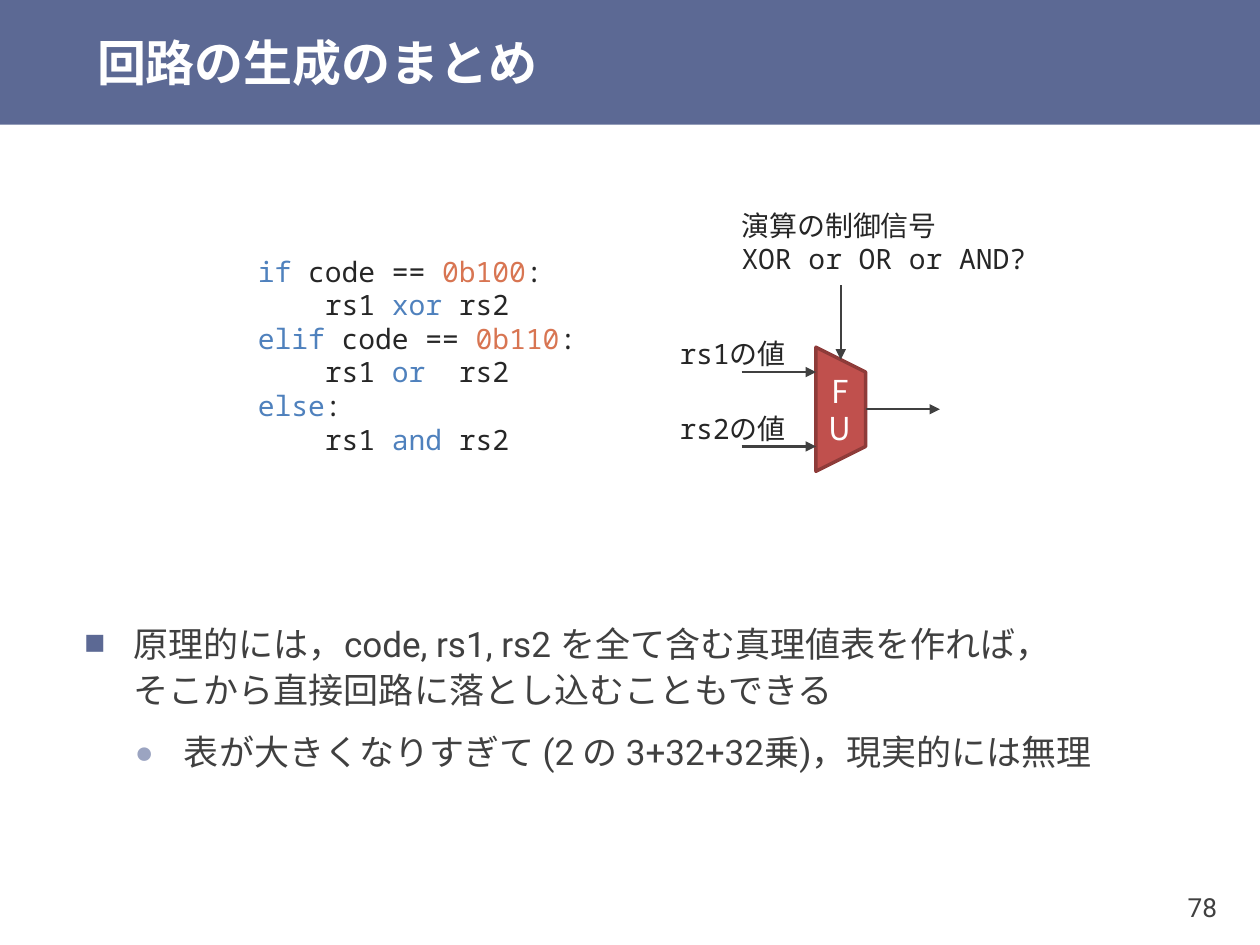
"""Builds the slide that sums up circuit generation: code, function unit and notes."""
from lxml import etree
from pptx import Presentation
from pptx import util as u
from pptx.dml.color import RGBColor
from pptx.enum import shapes, text
from pptx.oxml.ns import qn

WHITE, NAVY, GREY, INK = "FFFFFF", "5C6994", "404040", "262626"
BLUE, ORANGE, RED, MAROON, LILAC = "4F81BD", "D87552", "C0504D", "8E3B39", "9BA4C1"
SANS, MONO, CJK = "Roboto", "Noto Sans Mono", "Noto Sans CJK JP"
MIDDLE = text.MSO_ANCHOR.MIDDLE


def rgb(value):
    return RGBColor.from_string(value)


def write(p, runs, size, name, bold=False):
    for words, color in runs:
        r = p.add_run()
        r.text = words
        for key, value in dict(size=u.Pt(size), name=name, bold=bold).items():
            setattr(r.font, key, value)
        r.font.color.rgb = rgb(color)
        etree.SubElement(r._r.get_or_add_rPr(), qn("a:ea"), typeface=CJK)


prs = Presentation()
prs.slide_width, prs.slide_height = u.Inches(10), u.Inches(7.5)
W, H = prs.slide_width, prs.slide_height
s = prs.slides.add_slide(prs.slide_layouts[1])
GRID, SHIFT = u.Cm(0.25), u.Inches(-0.02)
band = int(H * 0.132)

sp = s.shapes.add_shape(shapes.MSO_SHAPE.RECTANGLE, 0, 0, W, band)
sp.shadow.inherit = False
sp.fill.solid()
sp.fill.fore_color.rgb = rgb(NAVY)
sp.line.fill.background()
s.shapes._spTree.insert(2, sp._element)

title, body = s.placeholders
for sp, box in ((title, (0.067, 0, 0.933, 0.132)), (body, (0.057, 0.67, 0.906, 0.131))):
    sp.left, sp.top, sp.width, sp.height = (int(v * d) for v, d in zip(box, (W, H, W, H)))
    tf = sp.text_frame
    for key, value in dict(vertical_anchor=MIDDLE, word_wrap=True,
                           auto_size=text.MSO_AUTO_SIZE.NONE).items():
        setattr(tf, key, value)

title.text_frame.margin_top = title.text_frame.margin_bottom = 0
p = title.text_frame.paragraphs[0]
p.alignment = text.PP_ALIGN.LEFT
write(p, [("回路の生成のまとめ", WHITE)], 28, SANS, True)

notes = [
    (["原理的には，code, rs1, rs2 を全て含む真理値表を作れば，",
      "そこから直接回路に落とし込むこともできる"], 24, 6, "■", NAVY, 100),
    (["表が大きくなりすぎて (2 の 3+32+32乗)，現実的には無理"], 3, 3, "●", LILAC, 90),
]
tf = body.text_frame
for level, (lines, before, after, bullet, color, share) in enumerate(notes):
    p = tf.add_paragraph() if level else tf.paragraphs[0]
    for key, value in dict(level=level, line_spacing=1.1, space_before=u.Pt(before),
                           space_after=u.Pt(after)).items():
        setattr(p, key, value)
    pPr = p._p.get_or_add_pPr()
    pPr.set("marL", str(u.Inches(0.39 + 0.4 * level)))
    pPr.set("indent", str(u.Inches(-0.39)))
    etree.SubElement(etree.SubElement(pPr, qn("a:buClr")), qn("a:srgbClr"), val=color)
    etree.SubElement(pPr, qn("a:buSzPct"), val=str(share * 1000))
    etree.SubElement(pPr, qn("a:buFont"), typeface=MONO)
    etree.SubElement(pPr, qn("a:buChar"), char=bullet)
    for i, words in enumerate(lines):
        if i:
            p.add_line_break()
        write(p, [(words, GREY)], 20, SANS)

sp = s.shapes.add_shape(shapes.MSO_SHAPE.FLOWCHART_MANUAL_OPERATION,
                        SHIFT + 63 * GRID, 31 * GRID, 10 * GRID, 4 * GRID)
sp.rotation = 270
sp.shadow.inherit = False
sp.fill.solid()
sp.fill.fore_color.rgb = rgb(RED)
sp.line.color.rgb = rgb(MAROON)
sp.line.width = u.Pt(2)
tf = sp.text_frame
tf.vertical_anchor = MIDDLE
tf._txBody.bodyPr.set("vert", "eaVert")
tf.paragraphs[0].alignment = text.PP_ALIGN.CENTER
write(tf.paragraphs[0], [("FU", WHITE)], 18, CJK)

for x1, y1, x2, y2 in ((60, 30, 66, 30), (60, 36, 66, 36), (70, 33, 76, 33), (68, 23, 68, 29)):
    sp = s.shapes.add_connector(shapes.MSO_CONNECTOR.STRAIGHT, SHIFT + x1 * GRID, y1 * GRID,
                                SHIFT + x2 * GRID, y2 * GRID)
    sp.line.color.rgb = rgb(GREY)
    sp.line.width = u.Pt(1.25)
    etree.SubElement(sp.line._get_or_add_ln(), qn("a:tailEnd"), type="triangle")
    etree.SubElement(sp._element.spPr, qn("a:effectLst"))

code = [
    [("if", BLUE), (" code == ", INK), ("0b100", ORANGE), (":", INK)],
    [("    rs1 ", INK), ("xor ", BLUE), ("rs2", INK)],
    [("elif ", BLUE), ("code == ", INK), ("0b110", ORANGE), (":", INK)],
    [("    rs1 ", INK), ("or", BLUE), ("  rs2", INK)],
    [("else", BLUE), (":", INK)],
    [("    rs1 ", INK), ("and", BLUE), (" rs2", INK)],
]
labels = [
    ((54, 27, 12, 3), MIDDLE, [[("rs1の値", INK)]]),
    ((54, 33, 12, 3), MIDDLE, [[("rs2の値", INK)]]),
    ((59, 18, 27, 3), MIDDLE, [[("演算の制御信号", INK)], [("XOR or OR or AND?", INK)]]),
    ((20, 20, 29, 17), text.MSO_ANCHOR.TOP, code),
]
for (x, y, w, h), anchor, lines in labels:
    tf = s.shapes.add_textbox(SHIFT + x * GRID, y * GRID, w * GRID, h * GRID).text_frame
    tf.word_wrap = False
    tf.vertical_anchor = anchor
    for i, runs in enumerate(lines):
        write(tf.add_paragraph() if i else tf.paragraphs[0], runs, 16, MONO)

tf = s.shapes.add_textbox(int(W * 0.894), int(H * 0.92), int(W * 0.079), int(H * 0.08)).text_frame
for key, value in dict(word_wrap=False, vertical_anchor=MIDDLE, margin_left=u.Inches(0.07),
                       margin_right=u.Inches(0.07), margin_top=u.Inches(0.04),
                       margin_bottom=u.Inches(0.04)).items():
    setattr(tf, key, value)
tf.paragraphs[0].alignment = text.PP_ALIGN.RIGHT
write(tf.paragraphs[0], [("78", GREY)], 15, SANS)

prs.save("out.pptx")
